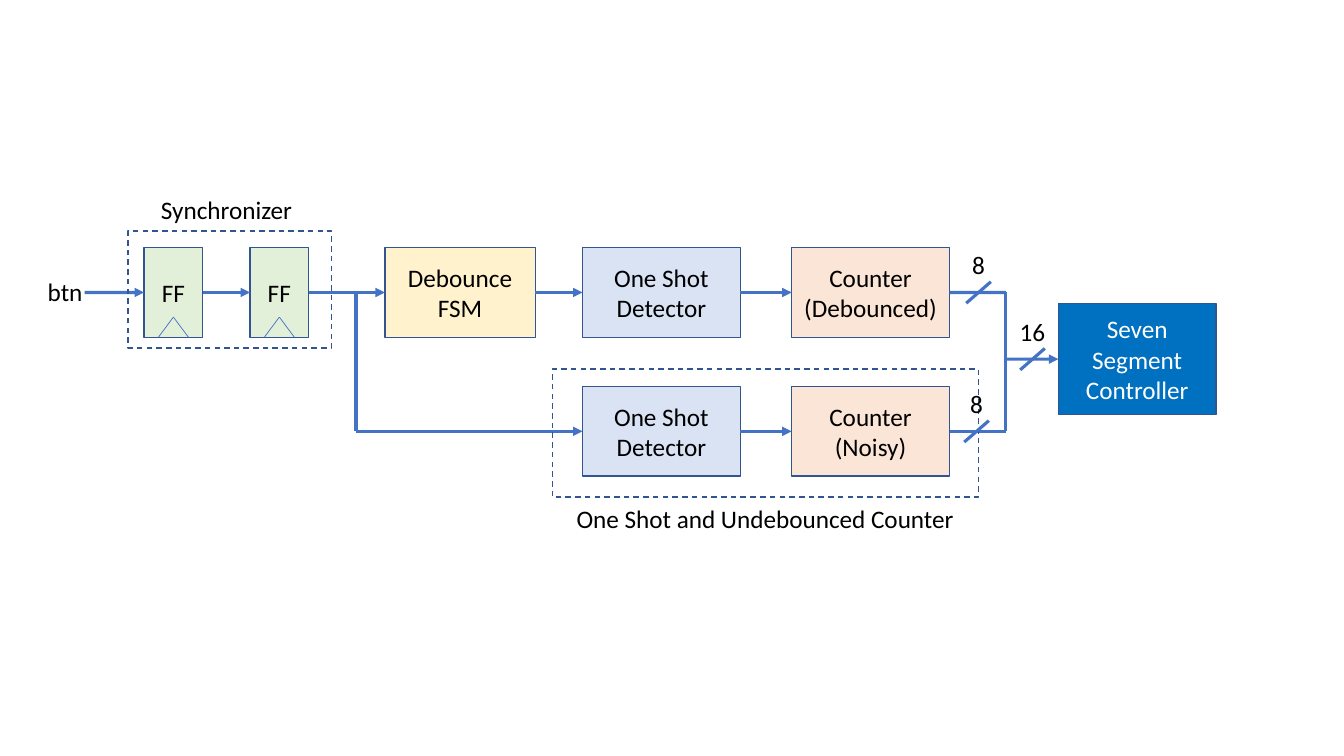
import pptx
import pptx.util
import pptx.dml.color
import pptx.enum.dml
import pptx.enum.shapes
import pptx.enum.text
from pptx.util import Cm, Pt

WIRE, OUTLINE, BLACK, WHITE = "4472C4", "325491", "000000", "FFFFFF"
GREEN, YELLOW, BLUE, ORANGE, DEEP_BLUE = "E2F0D9", "FFF2CC", "DAE3F3", "FBE5D6", "0070C0"
TOP, LEFT, RIGHT = 0, 1, 3

# Lengths in cm: signal rows are given by their centre line
DEBOUNCED_ROW, NOISY_ROW = 7.37, 10.87
BUS_ROW = 9.05
BRANCH_X, BUS_X = 8.97, 25.35
BLOCK_HEIGHT = 2.26

# key: (paragraphs, left, width, row, height, fill, text colour)
BLOCKS = {
    "ff1": (["FF"], 3.63, 1.48, DEBOUNCED_ROW, BLOCK_HEIGHT, GREEN, BLACK),
    "ff2": (["FF"], 6.3, 1.48, DEBOUNCED_ROW, BLOCK_HEIGHT, GREEN, BLACK),
    "fsm": (["Debounce FSM"], 9.7, 3.79, DEBOUNCED_ROW, BLOCK_HEIGHT, YELLOW, BLACK),
    "shot": (["One Shot", "Detector"], 14.68, 3.98, DEBOUNCED_ROW, BLOCK_HEIGHT, BLUE, BLACK),
    "count": (["Counter (Debounced)"], 19.95, 3.98, DEBOUNCED_ROW, BLOCK_HEIGHT, ORANGE, BLACK),
    "noisy_shot": (["One Shot", "Detector"], 14.68, 3.98, NOISY_ROW, BLOCK_HEIGHT, BLUE, BLACK),
    "noisy_count": (["Counter (Noisy)"], 19.95, 3.98, NOISY_ROW, BLOCK_HEIGHT, ORANGE, BLACK),
    "display": (["Seven Segment Controller"], 26.67, 3.98, BUS_ROW, 2.8, DEEP_BLUE, WHITE),
}
FLOWS = [("ff1", "ff2"), ("ff2", "fsm"), ("fsm", "shot"), ("shot", "count"),
         ("noisy_shot", "noisy_count")]
# start x, row, target
INPUTS = [(2.13, DEBOUNCED_ROW, "ff1"), (BRANCH_X, NOISY_ROW, "noisy_shot"),
          (BUS_X, BUS_ROW, "display")]
# left, top, width, height
STAGES = [(3.23, 5.82, 5.13, 2.95), (13.92, 9.3, 10.74, 3.23)]
# text, left, top, width
CAPTIONS = [("btn", 0.94, 6.83, 1.4), ("Synchronizer", 3.78, 4.78, 3.86),
            ("One Shot and Undebounced Counter", 14.22, 12.55, 10.13)]
# bits, x, row
BUS_WIDTHS = [("8", 24.66, DEBOUNCED_ROW), ("16", 26.02, BUS_ROW), ("8", 24.61, NOISY_ROW)]


def rgb(value):
    return pptx.dml.color.RGBColor.from_string(value)


def write(shape, paragraphs, colour):
    frame = shape.text_frame
    for i, text in enumerate(paragraphs):
        paragraph = frame.paragraphs[0] if i == 0 else frame.add_paragraph()
        paragraph.alignment = pptx.enum.text.PP_ALIGN.CENTER
        run = paragraph.add_run()
        run.text = text
        run.font.size = Pt(18)
        run.font.name = "Calibri"
        run.font.color.rgb = rgb(colour)


def add_box(slide, left, top, width, height, fill=None):
    """Outlined rectangle; without a fill its outline is dashed."""
    box = slide.shapes.add_shape(pptx.enum.shapes.MSO_SHAPE.RECTANGLE,
                                 Cm(left), Cm(top), Cm(width), Cm(height))
    box.shadow.inherit = False
    box.line.color.rgb = rgb(OUTLINE)
    box.line.width = Pt(1)
    if fill:
        box.fill.solid()
        box.fill.fore_color.rgb = rgb(fill)
    else:
        box.fill.background()
        box.line.dash_style = pptx.enum.dml.MSO_LINE.DASH
    return box


def add_wire(slide, x1, y1, x2, y2, width=2.25, arrow=False):
    wire = slide.shapes.add_connector(pptx.enum.shapes.MSO_CONNECTOR.STRAIGHT,
                                      Cm(x1), Cm(y1), Cm(x2), Cm(y2))
    wire.line.color.rgb = rgb(WIRE)
    wire.line.width = Pt(width)
    if arrow:
        tail = pptx.oxml.parse_xml(
            '<a:tailEnd xmlns:a="http://schemas.openxmlformats.org/drawingml/2006/main"'
            ' type="triangle"/>')
        wire.line._get_or_add_ln().append(tail)
    wire._element.spPr.append(pptx.oxml.parse_xml(
        '<a:effectLst xmlns:a="http://schemas.openxmlformats.org/drawingml/2006/main"/>'))
    return wire


def add_label(slide, text, left, top, width):
    label = slide.shapes.add_textbox(Cm(left), Cm(top), Cm(width), Cm(1.03))
    label.text_frame.word_wrap = False
    label.text_frame.auto_size = pptx.enum.text.MSO_AUTO_SIZE.SHAPE_TO_FIT_TEXT
    write(label, [text], BLACK)


def add_clock_mark(slide, block):
    _, left, width, row, height, _, _ = BLOCKS[block]
    middle, bottom = left + width / 2, row + height / 2
    for side in (-0.38, 0.38):
        add_wire(slide, middle + side, bottom, middle, bottom - 0.51, width=0.5)


def main():
    deck = pptx.Presentation()
    deck.slide_width, deck.slide_height = Cm(33.87), Cm(19.05)
    slide = deck.slides.add_slide(deck.slide_layouts[6])

    boxes = {}
    for key, (paragraphs, left, width, row, height, fill, colour) in BLOCKS.items():
        boxes[key] = add_box(slide, left, row - height / 2, width, height, fill)
        boxes[key].text_frame.word_wrap = True
        boxes[key].text_frame.vertical_anchor = pptx.enum.text.MSO_ANCHOR.MIDDLE
        write(boxes[key], paragraphs, colour)
    for flip_flop in ("ff1", "ff2"):
        add_clock_mark(slide, flip_flop)

    for source, target in FLOWS:
        wire = add_wire(slide, 0, 0, 1, 0, arrow=True)
        wire.begin_connect(boxes[source], RIGHT)
        wire.end_connect(boxes[target], LEFT)
    for x, row, target in INPUTS:
        wire = add_wire(slide, x, row, BLOCKS[target][1], row, arrow=True)
        wire.end_connect(boxes[target], LEFT)
    for counter in ("count", "noisy_count"):
        row = BLOCKS[counter][3]
        wire = add_wire(slide, 0, row, BUS_X, row)
        wire.begin_connect(boxes[counter], RIGHT)
    for x in (BRANCH_X, BUS_X):
        add_wire(slide, x, NOISY_ROW, x, DEBOUNCED_ROW)

    for stage in STAGES:
        add_box(slide, *stage)
    for caption in CAPTIONS:
        add_label(slide, *caption)
    for bits, x, row in BUS_WIDTHS:
        add_wire(slide, x - 0.31, row + 0.27, x + 0.31, row - 0.27)
        width = 0.5 + 0.33 * len(bits)
        add_label(slide, bits, x - width / 2, row - 1.2, width)

    deck.save("out.pptx")


if __name__ == "__main__":
    main()
